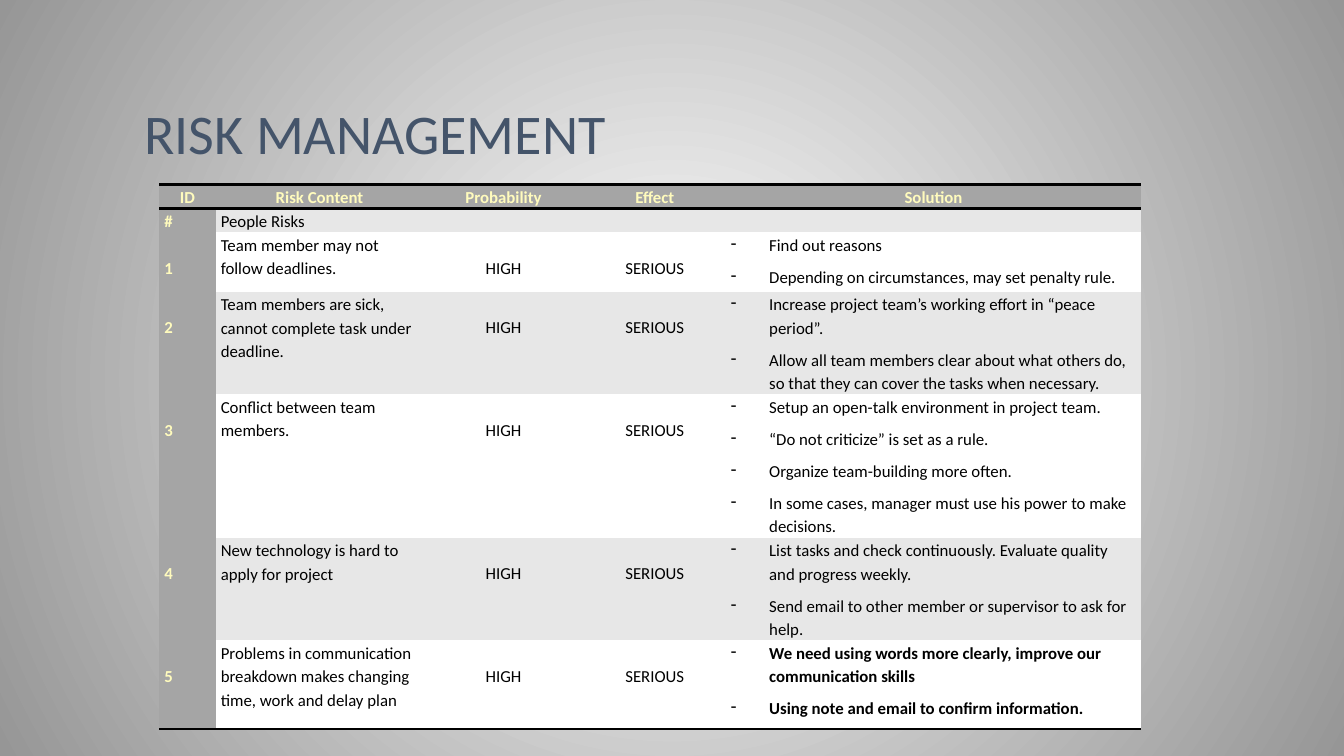
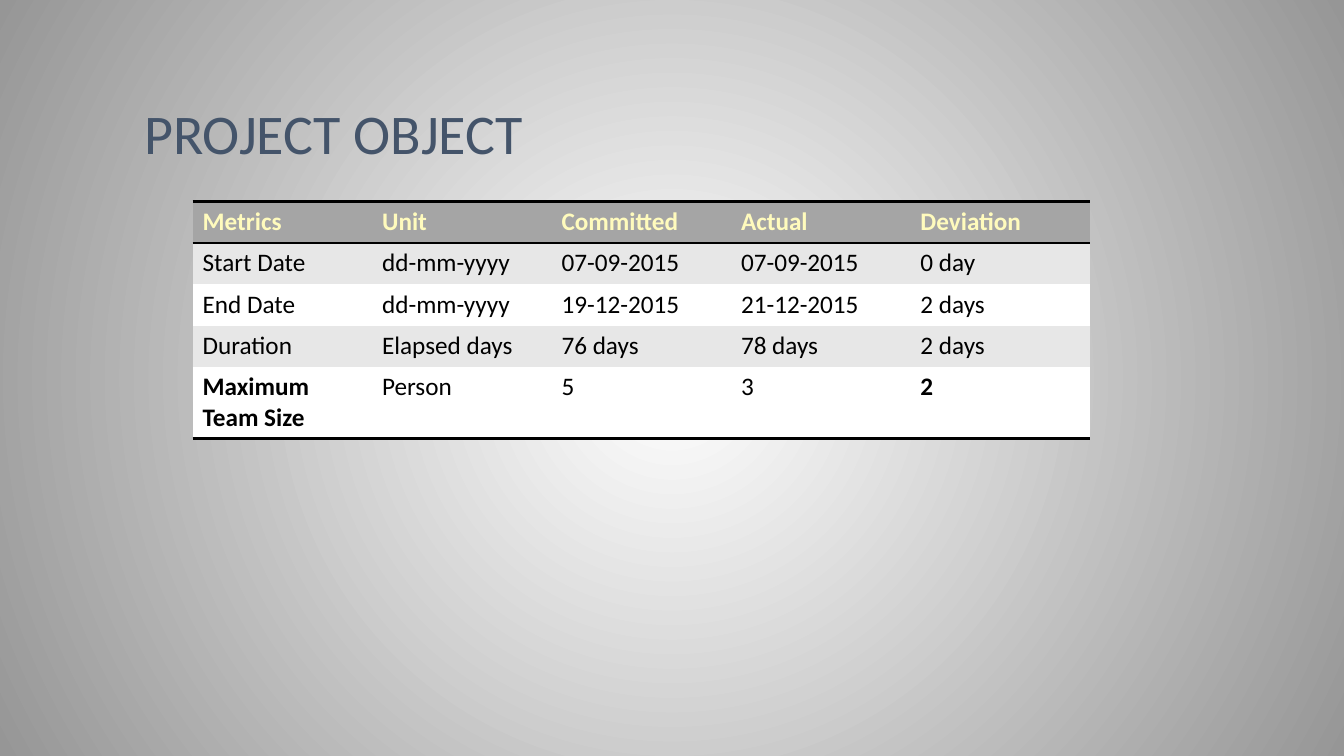
from dataclasses import dataclass, field

from lxml import etree
from pptx import Presentation
from pptx.dml.color import RGBColor
from pptx.enum.text import MSO_ANCHOR, MSO_AUTO_SIZE, PP_ALIGN
from pptx.oxml.ns import qn
from pptx.util import Inches, Pt

LEFT, CENTER, JUSTIFY = PP_ALIGN.LEFT, PP_ALIGN.CENTER, PP_ALIGN.JUSTIFY
TOP, MIDDLE, BOTTOM = MSO_ANCHOR.TOP, MSO_ANCHOR.MIDDLE, MSO_ANCHOR.BOTTOM

FONT = "Calibri"
SLATE = RGBColor(0x44, 0x54, 0x6A)
CREAM = RGBColor(0xFF, 0xFB, 0xBD)
BLACK = RGBColor(0x00, 0x00, 0x00)
WHITE = RGBColor(0xFF, 0xFF, 0xFF)
HEAD_GRAY = RGBColor(0xA5, 0xA5, 0xA5)
BAND_GRAY = RGBColor(0xE7, 0xE7, 0xE7)
EDGE_GRAY = RGBColor(0x96, 0x96, 0x96)
PLAIN_TABLE = "{2D5ABB26-0587-4C30-8999-92F81FD0307C}"
LINE_DROP = 0.23  # one line of 12 pt text


@dataclass
class Cell:
    lines: list[str]
    bold: bool = False
    align: PP_ALIGN = LEFT
    anchor: MSO_ANCHOR = TOP
    drop: float = 0
    dashed: bool = False


@dataclass
class TableSpec:
    left: float
    top: float
    cols: list[float]
    rows: list[float]
    cells: list[list[Cell]]
    size: int
    compact: bool = False  # tight insets, loose lines
    id_column: bool = False  # first column coloured as the header


@dataclass
class Risk:
    content: str
    solutions: list[str] = field(default_factory=list)
    bold: bool = False


RISKS = [
    Risk("Team member may not follow deadlines.",
         ["Find out reasons", "Depending on circumstances, may set penalty rule."]),
    Risk("Team members are sick, cannot complete task under deadline.",
         ["Increase project team’s working effort in “peace period”.",
          "Allow all team members clear about what others do, "
          "so that they can cover the tasks when necessary."]),
    Risk("Conflict between team members.",
         ["Setup an open-talk environment in project team.",
          "“Do not criticize” is set as a rule.",
          "Organize team-building more often.",
          "In some cases, manager must use his power to make decisions."]),
    Risk("New technology is hard to apply for project",
         ["List tasks and check continuously. Evaluate quality and progress weekly.",
          "Send email to other member or supervisor to ask for help."]),
    Risk("Problems in communication breakdown makes changing time, work and delay plan",
         ["We need using words more clearly, improve our communication skills",
          "Using note and email to confirm information."], bold=True),
]

METRICS = [
    ["Metrics", "Unit", "Committed", "Actual", "Deviation"],
    ["Start Date", "dd-mm-yyyy", "07-09-2015", "07-09-2015", "0 day"],
    ["End Date", "dd-mm-yyyy", "19-12-2015", "21-12-2015", "2 days"],
    ["Duration", "Elapsed days", "76 days", "78 days", "2 days"],
    ["Maximum Team Size", "Person", "5", "3", "2"],
]
BOLD_METRICS = {"Maximum Team Size", "2"}


def risk_rows() -> list[list[Cell]]:
    heads = ["ID", "Risk Content", "Probability", "Effect", "Solution"]
    rows = [[Cell([h], True, CENTER, MIDDLE) for h in heads]]
    rows.append([Cell(["#"], True, JUSTIFY, MIDDLE),
                 Cell(["People Risks"], False, JUSTIFY, MIDDLE),
                 *(Cell([""]) for _ in range(3))])
    for number, risk in enumerate(RISKS, 1):
        rows.append([Cell([str(number)], True, JUSTIFY, drop=LINE_DROP),
                     Cell([risk.content]),
                     Cell(["HIGH"], align=CENTER, drop=LINE_DROP),
                     Cell(["SERIOUS"], align=CENTER, drop=LINE_DROP),
                     Cell(risk.solutions, risk.bold, dashed=True)])
    return rows


def metric_rows() -> list[list[Cell]]:
    return [[Cell([text], i == 0 or text in BOLD_METRICS) for text in row]
            for i, row in enumerate(METRICS)]


def set_background(prs) -> None:
    """Radial gradient on the master, light in the middle."""
    master = prs.slide_master
    fill = master.background.fill
    fill.gradient()
    for stop, color, position in zip(fill.gradient_stops, (WHITE, EDGE_GRAY), (0, 1)):
        stop.color.rgb = color
        stop.position = position
    grad = master.element.find(".//" + qn("p:bg") + "//" + qn("a:gradFill"))
    for lin in grad.findall(qn("a:lin")):
        grad.remove(lin)
    circle = etree.SubElement(grad, qn("a:path"), {"path": "circle"})
    etree.SubElement(circle, qn("a:fillToRect"), dict.fromkeys("ltrb", "50000"))


def add_slide(prs, title: str):
    s = prs.slides.add_slide(prs.slide_layouts[5])
    sp = s.shapes.title
    sp.left, sp.top, sp.width, sp.height = map(Inches, (1.33, 0.25, 10.67, 1.45))
    tf = sp.text_frame
    tf.auto_size = MSO_AUTO_SIZE.NONE
    tf.vertical_anchor = BOTTOM
    p = tf.paragraphs[0]
    p.text = title
    p.alignment, p.line_spacing = LEFT, 0.9
    p.font.name, p.font.size, p.font.color.rgb = FONT, Pt(40), SLATE
    return s


def set_border(cell, tag: str) -> None:
    """Black rule on one side; lines come before the fill in the XML."""
    ln = etree.Element(qn(tag), {"w": str(Pt(2))})
    solid = etree.SubElement(ln, qn("a:solidFill"))
    etree.SubElement(solid, qn("a:srgbClr"), {"val": str(BLACK)})
    props = cell._tc.get_or_add_tcPr()
    props.insert(len(props.findall(qn("a:lnT"))), ln)


def set_dash(p) -> None:
    props = p._p.get_or_add_pPr()
    indent = Inches(0.38)
    props.set("marL", str(indent))
    props.set("indent", str(-indent))
    bullet = etree.Element(qn("a:buChar"), {"char": "-"})
    props.insert(props.index(props.find(qn("a:defRPr"))), bullet)


def fill_cell(cell, item: Cell, spec: TableSpec, color: RGBColor) -> None:
    cell.vertical_anchor = item.anchor
    if spec.compact:
        cell.margin_left = cell.margin_right = Inches(0.05)
        cell.margin_top, cell.margin_bottom = Inches(item.drop), 0
    tf = cell.text_frame
    for i, line in enumerate(item.lines):
        p = tf.add_paragraph() if i else tf.paragraphs[0]
        p.alignment = item.align
        if spec.compact:
            p.line_spacing, p.space_after = 1.15, Pt(6)
        p.font.name, p.font.size = FONT, Pt(spec.size)
        p.font.bold, p.font.color.rgb = item.bold, color
        if item.dashed:
            set_dash(p)
        if line:
            p.text = line
        else:  # keep an empty cell as low as its row
            etree.SubElement(p._p, qn("a:endParaRPr"), {"sz": str(spec.size * 100)})


def add_table(s, spec: TableSpec) -> None:
    frame = s.shapes.add_table(len(spec.rows), len(spec.cols),
                               Inches(spec.left), Inches(spec.top),
                               Inches(sum(spec.cols)), Inches(sum(spec.rows)))
    table = frame.table
    table.first_row = table.horz_banding = False
    table._tbl.tblPr.find(qn("a:tableStyleId")).text = PLAIN_TABLE
    for column, width in zip(table.columns, spec.cols):
        column.width = Inches(width)
    for r, (row, height) in enumerate(zip(table.rows, spec.rows)):
        row.height = Inches(height)
        for c, cell in enumerate(row.cells):
            header = r == 0 or (spec.id_column and c == 0)
            fill_cell(cell, spec.cells[r][c], spec, CREAM if header else BLACK)
            cell.fill.solid()
            band = BAND_GRAY if r % 2 else WHITE
            cell.fill.fore_color.rgb = HEAD_GRAY if header else band
            if r == 0:
                set_border(cell, "a:lnT")
            if r in (0, len(spec.rows) - 1):
                set_border(cell, "a:lnB")


def main() -> None:
    prs = Presentation()
    prs.slide_width, prs.slide_height = Inches(13.33), Inches(7.5)
    set_background(prs)

    # Risks and their solutions
    add_table(add_slide(prs, "RISK MANAGEMENT"), TableSpec(
        1.58, 1.83, [0.56, 2.06, 1.59, 1.41, 4.12],
        [0.24, 0.23, 0.59, 1.02, 1.42, 1.01, 0.88],
        risk_rows(), size=12, compact=True, id_column=True))

    # Committed against actual figures
    add_table(add_slide(prs, "PROJECT OBJECT"), TableSpec(
        1.91, 2, [1.78] * 5, [0.41] * 4 + [0.71], metric_rows(), size=18))

    prs.save("out.pptx")


if __name__ == "__main__":
    main()
